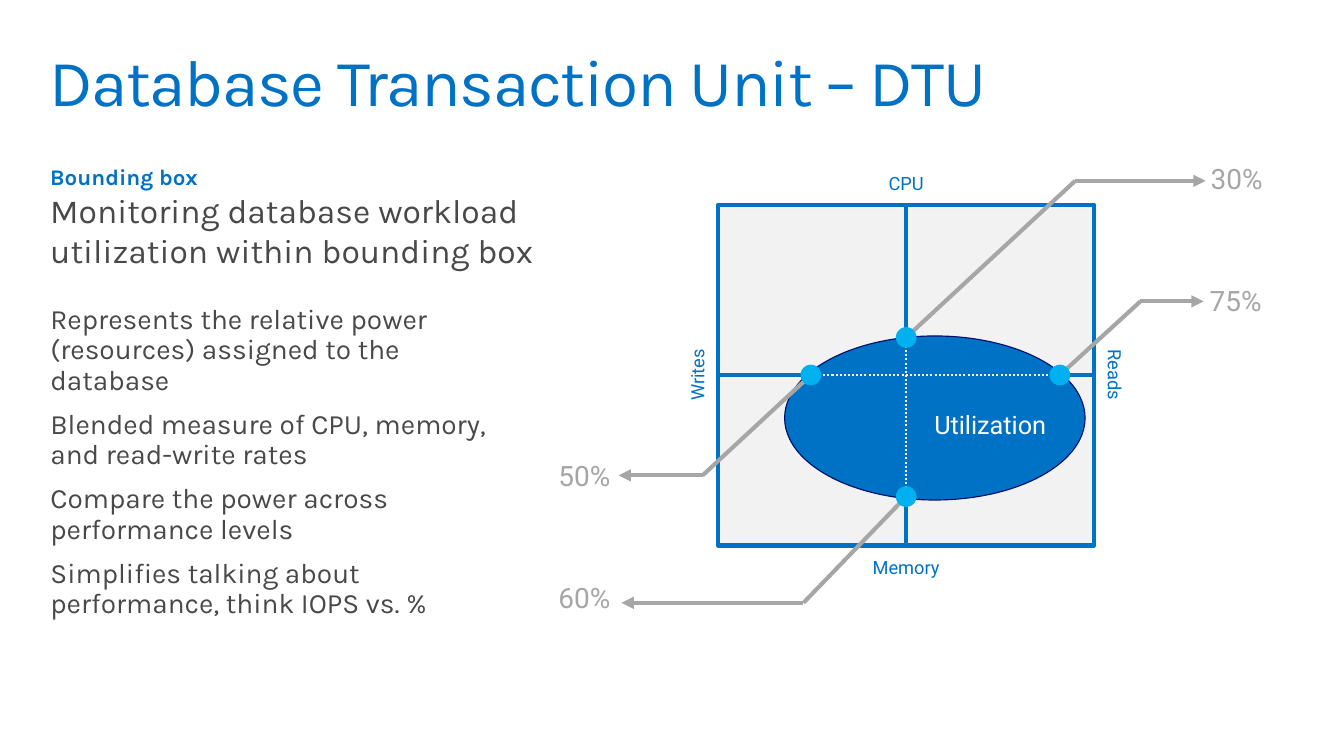
from lxml.etree import SubElement
from pptx import Presentation
from pptx.dml.color import RGBColor
from pptx.enum.dml import MSO_LINE_DASH_STYLE as Dash
from pptx.enum.shapes import MSO_CONNECTOR as Link, MSO_SHAPE as Shape
from pptx.enum.text import MSO_ANCHOR as Anchor, MSO_AUTO_SIZE as AutoSize, PP_ALIGN as Align
from pptx.oxml.ns import qn
from pptx.util import Inches, Pt

SLIDE_WIDTH, SLIDE_HEIGHT = Inches(13.6), Inches(7.65)
CELL = SLIDE_WIDTH / 136

BLUE = RGBColor(0x00, 0x72, 0xC6)
NAVY = RGBColor(0x00, 0x12, 0x6A)
SKY = RGBColor(0x00, 0xB0, 0xF0)
CHARCOAL = RGBColor(0x49, 0x49, 0x49)
GREY = RGBColor(0xA6, 0xA6, 0xA6)
PALE = RGBColor(0xF2, 0xF2, 0xF2)
WHITE = RGBColor(0xFF, 0xFF, 0xFF)

BENEFITS = [
    "Represents the relative power (resources) assigned to the database",
    "Blended measure of CPU, memory, and read-write rates",
    "Compare the power across performance levels",
    "Simplifies talking about performance, think IOPS vs. %",
]


def cells(*counts):
    """Convert grid cells to slide lengths."""
    return [round(count * CELL) for count in counts]


def write(frame, text, size, color, font="Karla", bold=False, align=Align.LEFT,
          spacing=1.0, before=0, after=0, tracking=0):
    """Add one formatted paragraph to a text frame."""
    paragraph = frame.paragraphs[0]
    if paragraph.runs:
        paragraph = frame.add_paragraph()
        paragraph.space_before = Pt(before)
    paragraph.alignment = align
    paragraph.line_spacing = spacing
    paragraph.space_after = Pt(after)
    run = paragraph.add_run()
    run.text = text
    run.font.name, run.font.size, run.font.bold = font, Pt(size), bold
    run.font.color.rgb = color
    if tracking:
        run.font._element.set("spc", str(tracking))


def text_area(slide, left, top, width, height, inset=(1, 0.5), wrap=True, anchor=Anchor.TOP):
    """Add an empty text box and return its frame."""
    frame = slide.shapes.add_textbox(*cells(left, top, width, height)).text_frame
    frame.word_wrap, frame.vertical_anchor = wrap, anchor
    frame.margin_left = frame.margin_right = cells(inset[0])[0]
    frame.margin_top = frame.margin_bottom = cells(inset[1])[0]
    return frame


def figure(slide, kind, box, fill, line=None, weight=0):
    """Add a filled preset shape with an optional outline."""
    shape = slide.shapes.add_shape(kind, *cells(*box))
    shape.shadow.inherit = False
    shape.fill.solid()
    shape.fill.fore_color.rgb = fill
    if line is None:
        shape.line.fill.background()
    else:
        shape.line.color.rgb, shape.line.width = line, Pt(weight)
    return shape


def stroke(slide, start, end, color, weight=3, dash=None, arrow=False):
    """Draw a straight line between two grid points."""
    connector = slide.shapes.add_connector(Link.STRAIGHT, *cells(*start, *end))
    connector.line.color.rgb, connector.line.width = color, Pt(weight)
    if dash:
        connector.line.dash_style = dash
    properties = connector._element.spPr
    if arrow:
        SubElement(properties.find(qn("a:ln")), qn("a:tailEnd"), type="triangle")
    SubElement(properties, qn("a:effectLst"))
    return connector


def headline(slide, left, top, width, height):
    """Place and format the slide title."""
    title = slide.shapes.title
    title.left, title.top, title.width, title.height = cells(left, top, width, height)
    frame = title.text_frame
    frame.word_wrap, frame.auto_size, frame.vertical_anchor = True, AutoSize.NONE, Anchor.TOP
    frame.margin_left = frame.margin_right = frame.margin_top = frame.margin_bottom = cells(1)[0]
    write(frame, "Database Transaction Unit – DTU", 48, BLUE, spacing=0.9, tracking=-100)


def explanation(slide, left, top, width, height):
    """Place the bounding box summary and the list of benefits."""
    summary = text_area(slide, left + 1, top, width + 8.5, 12.2)
    write(summary, "Bounding box", 16.3, BLUE, bold=True)
    write(summary, "Monitoring database workload utilization within bounding box", 24.5, CHARCOAL)
    benefits = text_area(slide, left, top + 13.3, width, height - 13.3, inset=(2, 1.6))
    for benefit in BENEFITS:
        write(benefits, benefit, 20.4, CHARCOAL, spacing=0.9, before=4.1, after=6.1)


def callout(slide, origin, elbow, tip, label, share):
    """Draw a bent leader from a resource limit to its percentage."""
    stroke(slide, origin, elbow, GREY)
    stroke(slide, elbow, (tip, elbow[1]), GREY, arrow=True)
    frame = text_area(slide, *label, 9.8, 6.4, inset=(2, 1.6), wrap=False)
    write(frame, share, 20.4, GREY, font="Roboto", spacing=0.9, after=6.1)


def axis_label(slide, center, text, rotation):
    """Center a resource name on a point outside the bounding box."""
    width, height = 9.4, 3.3
    left, top = center[0] - width / 2, center[1] - height / 2
    frame = text_area(slide, left, top, width, height, wrap=False, anchor=Anchor.MIDDLE)
    write(frame, text, 13.3, BLUE, font="Roboto", align=Align.CENTER)
    slide.shapes[-1].rotation = rotation


def utilization_chart(slide, left, top, width, height):
    """Draw the bounding box, its utilization and the resource shares."""
    def at(x, y):
        return left + x, top + y

    middle, center, gap, dot = width / 2, height / 2, 2.15, 2.1
    bounds = figure(slide, Shape.RECTANGLE, (left, top, width, height), PALE, BLUE, 3)
    writes_reads = stroke(slide, at(0, center), at(width, center), BLUE)
    memory_cpu = stroke(slide, at(middle, height), at(middle, 0), BLUE)
    for axis, first, last in ((writes_reads, 1, 3), (memory_cpu, 2, 0)):
        axis.begin_connect(bounds, first)
        axis.end_connect(bounds, last)
    figure(slide, Shape.OVAL, (*at(6.7, 13.3), 30.4, 16.6), BLUE, NAVY, 0.85)

    cpu, memory = at(middle, 13.45), at(middle, 29.55)
    writes, reads = at(9.35, center), at(34.55, center)
    for start, end in ((writes, reads), (memory, cpu)):
        stroke(slide, start, end, WHITE, 1.5, dash=Dash.ROUND_DOT)

    resources = [
        ("CPU", "30%", cpu, (36.1, -2.4), 49.3, (47.8, -5.5), (middle, -gap), 0),
        ("Reads", "75%", reads, (42.7, 9.8), 49.1, (47.7, 6.8), (width + gap, center), 90),
        ("Writes", "50%", writes, (-1.6, 27.4), -10.1, (-18.2, 24.5), (-gap, center), 270),
        ("Memory", "60%", memory, (8.6, 40.3), -9.8, (-18.2, 36.9), (middle, height + gap), 0),
    ]
    for name, share, limit, elbow, tip, label, side, rotation in resources:
        axis_label(slide, at(*side), name, rotation)
        callout(slide, limit, at(*elbow), left + tip, at(*label), share)
        figure(slide, Shape.OVAL, (limit[0] - dot / 2, limit[1] - dot / 2, dot, dot), SKY)

    caption = text_area(slide, *at(20.4, 20.6), 14.2, 3.9, wrap=False)
    write(caption, "Utilization", 18.4, WHITE, font="Roboto", align=Align.CENTER, spacing=0.9)


def main():
    """Build and save the slide."""
    deck = Presentation()
    deck.slide_width, deck.slide_height = SLIDE_WIDTH, SLIDE_HEIGHT
    slide = deck.slides.add_slide(deck.slide_layouts[5])
    headline(slide, 4, 4, 130, 10)
    explanation(slide, 3.1, 16, 49.3, 48.3)
    utilization_chart(slide, 72.7, 20.7, 38, 34.5)
    deck.save("out.pptx")


if __name__ == "__main__":
    main()
